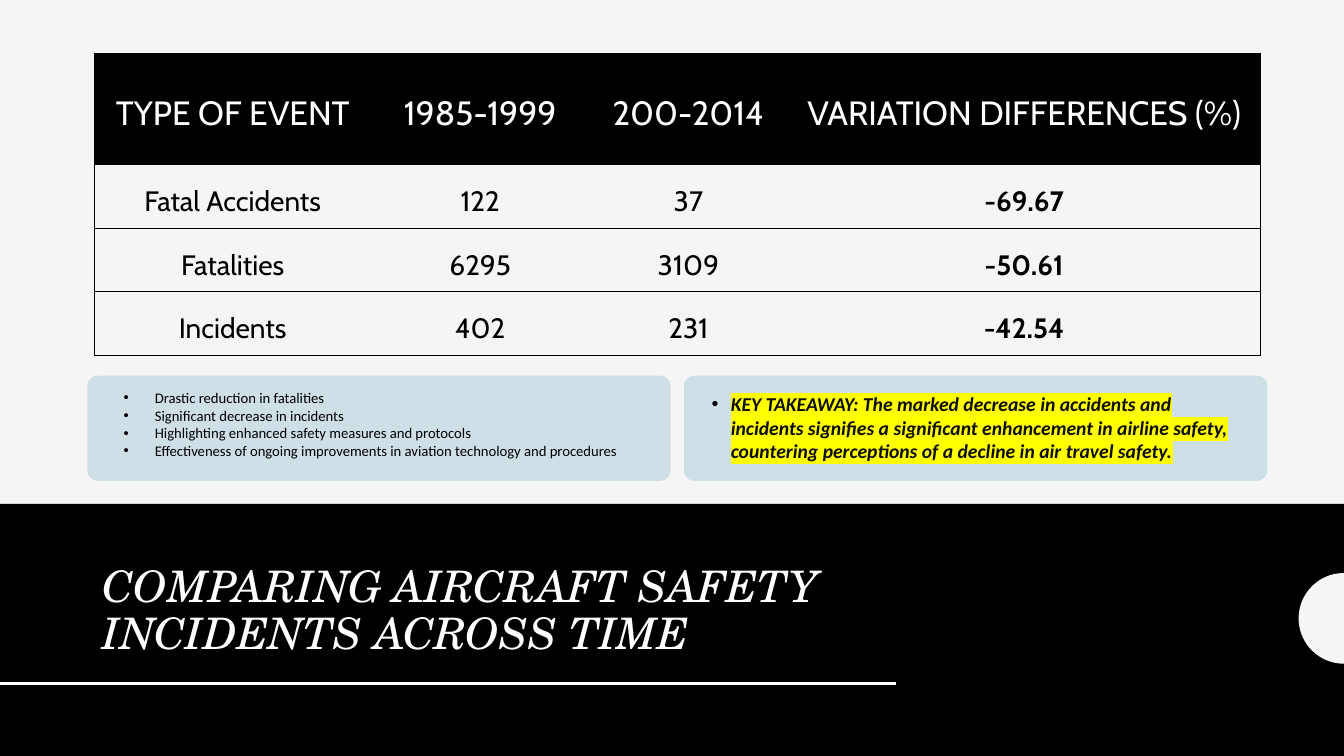
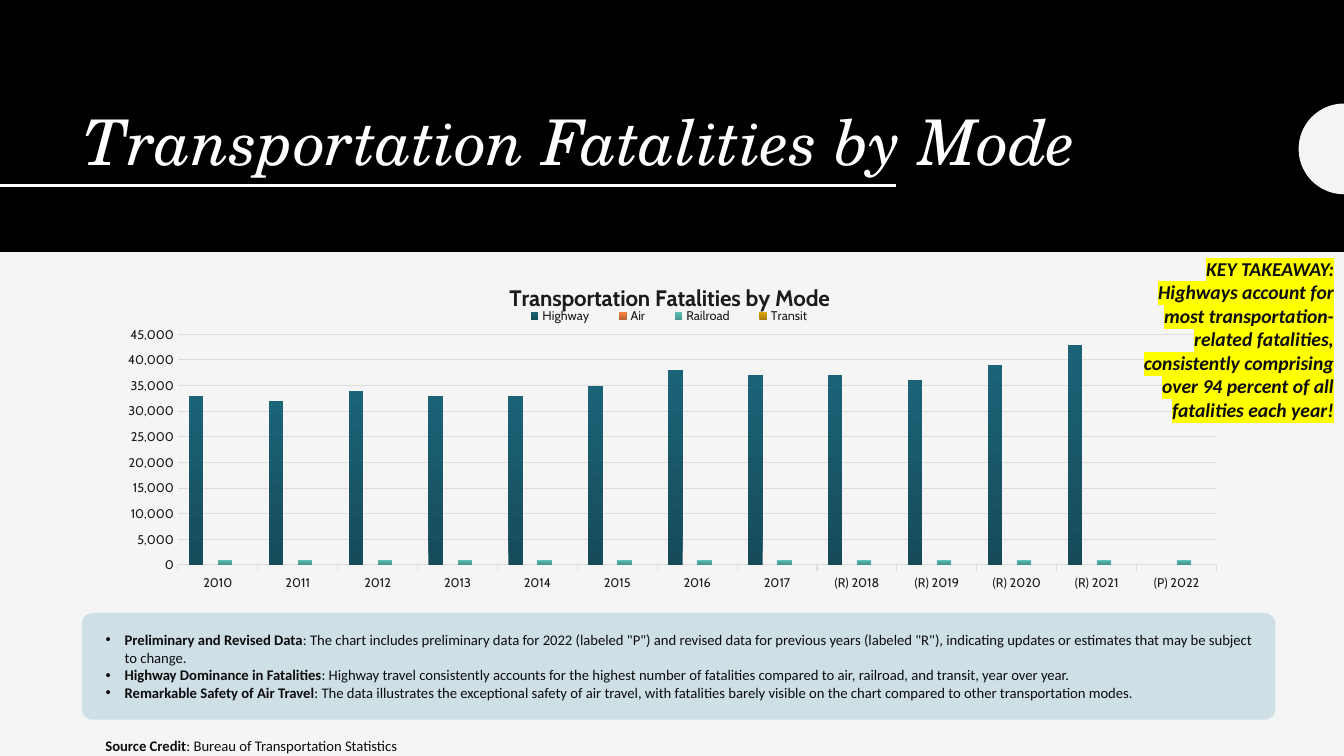
from math import cos, pi, sin

from lxml.etree import SubElement
from pptx import Presentation
from pptx.chart.data import CategoryChartData
from pptx.dml.color import RGBColor
from pptx.enum.chart import XL_CHART_TYPE, XL_LEGEND_POSITION, XL_TICK_MARK
from pptx.enum.shapes import MSO_CONNECTOR, MSO_SHAPE
from pptx.enum.text import MSO_ANCHOR, MSO_AUTO_SIZE, PP_ALIGN
from pptx.oxml.ns import qn
from pptx.oxml.xmlchemy import OxmlElement
from pptx.util import Inches, Pt

WIDTH, HEIGHT = Inches(13.33), Inches(7.5)
BLACK, WHITE, PAPER, CARD = "000000", "FFFFFF", "F5F5F5", "CFDFE6"
INK, CHART_INK, GRID, YELLOW = "0D0D0D", "1D1A1D", "DFDBDF", "FFFF00"
TITLE_FONT, BODY_FONT, DATA_FONT = "TeX Gyre Schola", "Calibri", "Cabin"


# Shared helpers: places are percentages of the slide's width and height
def across(share):
    return round(WIDTH * share / 100)


def down(share):
    return round(HEIGHT * share / 100)


def box(left, top, width, height):
    return across(left), down(top), across(width), down(height)


def rgb(color):
    return RGBColor.from_string(color)


def style_font(font, name, size, color, bold=False, italic=False):
    font.name, font.size = name, Pt(size)
    font.bold, font.italic = bold, italic
    font.color.rgb = rgb(color)


def paint(shape, color):
    shape.shadow.inherit = False
    shape.fill.solid()
    shape.fill.fore_color.rgb = rgb(color)
    shape.line.fill.background()


def highlight(run):
    mark = OxmlElement("a:highlight")
    SubElement(mark, qn("a:srgbClr")).set("val", YELLOW)
    run.font._element.find(qn("a:solidFill")).addnext(mark)


# Slide frame: band, half disc, rule and title
def add_band(slide, top):
    band = slide.shapes.add_shape(MSO_SHAPE.RECTANGLE, *box(0, top, 100, 100 / 3))
    paint(band, BLACK)


def add_half_disc(slide, middle, radius=down(6), steps=36):
    points = [(round(WIDTH - radius * sin(pi * step / steps)),
               round(down(middle) - radius * cos(pi * step / steps)))
              for step in range(steps + 1)]
    builder = slide.shapes.build_freeform(*points[0])
    builder.add_line_segments(points[1:], close=True)
    paint(builder.convert_to_shape(), PAPER)


def add_rule(slide, height):
    rule = slide.shapes.add_connector(
        MSO_CONNECTOR.STRAIGHT, 0, down(height), across(200 / 3), down(height))
    rule.line.color.rgb = rgb(WHITE)
    rule.line.width = Pt(2)
    SubElement(rule.element.spPr, qn("a:effectLst"))


def set_title(slide, text, place, size, alignment):
    title = slide.shapes.title
    title.left, title.top, title.width, title.height = place
    frame = title.text_frame
    frame.text = text
    frame.word_wrap, frame.auto_size = True, MSO_AUTO_SIZE.NONE
    frame.vertical_anchor = MSO_ANCHOR.BOTTOM
    paragraph = frame.paragraphs[0]
    paragraph.alignment, paragraph.line_spacing = alignment, 0.9
    style_font(paragraph.runs[0].font, TITLE_FONT, size, WHITE, italic=True)


def raise_placeholders(slide):
    for placeholder in list(slide.placeholders):
        slide.shapes.element.append(placeholder.element)


# Cards and text
def add_card(slide, place):
    card = slide.shapes.add_shape(MSO_SHAPE.ROUNDED_RECTANGLE, *place)
    card.adjustments[0] = 0.1
    paint(card, CARD)


def set_bullet(paragraph, indent):
    properties = paragraph._p.get_or_add_pPr()
    properties.set("marL", str(Inches(indent)))
    properties.set("indent", str(-Inches(indent)))
    if indent:
        SubElement(properties, qn("a:buChar")).set("char", "•")
    else:
        SubElement(properties, qn("a:buNone"))


def fill_text(shape, lines, size, indent=0, color=INK, marked=False,
              alignment=PP_ALIGN.LEFT):
    """Each line is a pair: bold lead, plain rest."""
    frame = shape.text_frame
    frame.word_wrap, frame.auto_size = True, MSO_AUTO_SIZE.NONE
    frame.vertical_anchor = MSO_ANCHOR.TOP
    for index, line in enumerate(lines):
        paragraph = frame.add_paragraph() if index else frame.paragraphs[0]
        set_bullet(paragraph, indent)
        paragraph.alignment, paragraph.space_before = alignment, Pt(0)
        for text, bold in zip(line, (True, False)):
            if text:
                run = paragraph.add_run()
                run.text = text
                style_font(run.font, BODY_FONT, size, color, bold, marked)
                if marked:
                    highlight(run)
    return frame


def fill_list(placeholder, place, lines, size, indent, **options):
    placeholder.left, placeholder.top, placeholder.width, placeholder.height = place
    return fill_text(placeholder, lines, size, indent, **options)


# Table
def set_borders(cell, visible):
    properties = cell._tc.get_or_add_tcPr()
    for index, side in enumerate("LRTB"):
        line = OxmlElement(f"a:ln{side}")
        line.set("w", str(Pt(0.5)))
        if side in visible:
            fill = SubElement(line, qn("a:solidFill"))
            SubElement(fill, qn("a:srgbClr")).set("val", BLACK)
        else:
            SubElement(line, qn("a:noFill"))
        properties.insert(index, line)


def fill_cell(cell, text, header, bold, visible):
    cell.text = text
    cell.margin_left = cell.margin_right = cell.margin_top = Inches(0.17)
    cell.margin_bottom = Inches(0.09)
    cell.vertical_anchor = MSO_ANCHOR.MIDDLE if header else MSO_ANCHOR.BOTTOM
    if header:
        cell.fill.solid()
        cell.fill.fore_color.rgb = rgb(BLACK)
    else:
        cell.fill.background()
    set_borders(cell, visible)
    paragraph = cell.text_frame.paragraphs[0]
    paragraph.alignment = PP_ALIGN.CENTER
    style_font(paragraph.runs[0].font, DATA_FONT, 24 if header else 20,
               WHITE if header else BLACK, bold)


def add_event_table(slide, place, rows, column_widths, row_heights):
    table = slide.shapes.add_table(len(rows), len(column_widths), *place).table
    table.first_row = table.horz_banding = False
    for column, width in zip(table.columns, column_widths):
        column.width = Inches(width)
    for row, height in zip(table.rows, row_heights):
        row.height = Inches(height)
    last = len(column_widths) - 1
    for row_index, row in enumerate(rows):
        for column_index, text in enumerate(row):
            sides = "TB" + "L" * (column_index == 0) + "R" * (column_index == last)
            header = row_index == 0
            fill_cell(table.cell(row_index, column_index), text, header,
                      column_index == last and not header, sides)


# Chart
def place_part(part, after, **shares):
    """Fix a chart part's place as shares of the chart's size."""
    for old in part.findall(qn("c:layout")):
        part.remove(old)
    layout = OxmlElement("c:layout")
    manual = SubElement(layout, qn("c:manualLayout"))
    if part.tag == qn("c:plotArea"):
        SubElement(manual, qn("c:layoutTarget")).set("val", "inner")
    for name in ("xMode", "yMode"):
        SubElement(manual, qn(f"c:{name}")).set("val", "edge")
    for name, share in shares.items():
        SubElement(manual, qn(f"c:{name}")).set("val", str(share))
    if after:
        part.find(qn(after)).addnext(layout)
    else:
        part.insert(0, layout)


def add_fatality_chart(slide, place, title, categories, series):
    data = CategoryChartData(number_format="#,##0")
    data.categories = categories
    for name, values, _ in series:
        data.add_series(name, values)
    chart = slide.shapes.add_chart(XL_CHART_TYPE.COLUMN_CLUSTERED, *place, data).chart
    style_font(chart.font, DATA_FONT, 10, BLACK)

    chart.has_title = True
    chart.chart_title.text_frame.text = title
    title_run = chart.chart_title.text_frame.paragraphs[0].runs[0]
    style_font(title_run.font, DATA_FONT, 16, CHART_INK, bold=True)
    chart.has_legend = True
    chart.legend.position = XL_LEGEND_POSITION.TOP
    chart.legend.include_in_layout = True
    style_font(chart.legend.font, DATA_FONT, 9, CHART_INK)

    for axis in (chart.category_axis, chart.value_axis):
        style_font(axis.tick_labels.font, DATA_FONT, 9, CHART_INK)
    category_line = chart.category_axis.format.line
    chart.category_axis.major_tick_mark = XL_TICK_MARK.OUTSIDE
    value_axis = chart.value_axis
    value_axis.minimum_scale, value_axis.maximum_scale = 0, 45000
    value_axis.major_unit = 5000
    value_axis.major_tick_mark = XL_TICK_MARK.NONE
    value_axis.tick_labels.number_format = "#,##0"
    value_axis.tick_labels.number_format_is_linked = False
    value_axis.format.line.fill.background()
    for line in (category_line, value_axis.major_gridlines.format.line):
        line.color.rgb, line.width = rgb(GRID), Pt(0.75)

    plot = chart.plots[0]
    plot.gap_width, plot.overlap, plot.vary_by_categories = 150, 0, False
    for bars, (_, _, colors) in zip(plot.series, series):
        fill = bars.format.fill
        fill.gradient()
        fill.gradient_angle = 90
        for stop, color in zip(fill.gradient_stops, colors):
            stop.color.rgb = rgb(color)

    place_part(chart.chart_title._element, "c:tx", x=0.35, y=0.03)
    place_part(chart.legend._element, "c:legendPos", x=0.35, y=0.11, w=0.29, h=0.07)
    place_part(chart._chartSpace.chart.plotArea, None, x=0.06, y=0.2, w=0.92, h=0.7)


# Slides
def build_comparison(presentation):
    slide = presentation.slides.add_slide(presentation.slide_layouts[3])
    add_band(slide, 200 / 3)
    add_half_disc(slide, 81.8)
    add_rule(slide, 90.4)
    set_title(slide, "COMPARING AIRCRAFT SAFETY INCIDENTS ACROSS TIME",
              box(6.9, 69.3, 59.8, 18.5), 31, PP_ALIGN.LEFT)
    rows = [("TYPE OF EVENT", "1985-1999", "200-2014", "VARIATION DIFFERENCES (%)"),
            ("Fatal Accidents", "122", "37", "-69.67"),
            ("Fatalities", "6295", "3109", "-50.61"),
            ("Incidents", "402", "231", "-42.54")]
    add_event_table(slide, box(7, 7.1, 86.9, 40), rows,
                    (2.75, 2.16, 1.97, 4.69), (1.1,) + (0.63,) * 3)
    card_width, gap = 43.4, 1
    for column in range(2):
        add_card(slide, box(6.5 + column * (card_width + gap), 49.7, card_width, 13.9))
    findings = ("Drastic reduction in fatalities",
                "Significant decrease in incidents",
                "Highlighting enhanced safety measures and protocols",
                "Effectiveness of ongoing improvements in aviation technology"
                " and procedures")
    fill_list(slide.placeholders[1], box(8.45, 50.8, 41.4, 12),
              [("", finding) for finding in findings], 10.5, 0.31, color=BLACK)
    takeaway = ("KEY TAKEAWAY: The marked decrease in accidents and incidents signifies "
                "a significant enhancement in airline safety, countering perceptions of "
                "a decline in air travel safety.")
    fill_list(slide.placeholders[2], box(52.2, 51.2, 41.5, 10.8),
              [(takeaway,)], 14, 0.19, marked=True)
    raise_placeholders(slide)


def build_fatalities(presentation):
    slide = presentation.slides.add_slide(presentation.slide_layouts[1])
    add_band(slide, 0)
    add_half_disc(slide, 19.7)
    add_rule(slide, 24.5)
    heading = "Transportation Fatalities by Mode"
    set_title(slide, heading, box(2, 6.3, 78.8, 18), 45, PP_ALIGN.RIGHT)
    categories = [str(year) for year in range(2010, 2018)]
    categories += [f"(R) {year}" for year in range(2018, 2022)] + ["(P) 2022"]
    highway = [thousands * 1000 for thousands in
               (33, 32, 34, 33, 33, 35, 38, 37, 37, 36, 39, 43, 0)]
    years = len(categories)
    series = [("Highway", highway, ("164B5A", "1B6377")),
              ("Air", [0] * years, ("B86430", "F4823B")),
              ("Railroad", [1000] * years, ("47938B", "5AC1B6")),
              ("Transit", [0] * years, ("A67D0B", "DCA50B"))]
    add_fatality_chart(slide, box(8.2, 35.5, 84, 43.6), heading, categories, series)
    add_card(slide, box(6.1, 81.1, 88.8, 14.1))
    notes = [
        ("Preliminary and Revised Data",
         ": The chart includes preliminary data for 2022 (labeled \"P\") and revised data "
         "for previous years (labeled \"R\"), indicating updates or estimates that may be "
         "subject to change."),
        ("Highway Dominance in Fatalities",
         ": Highway travel consistently accounts for the highest number of fatalities "
         "compared to air, railroad, and transit, year over year."),
        ("Remarkable Safety of Air Travel",
         ": The data illustrates the exceptional safety of air travel, with fatalities "
         "barely visible on the chart compared to other transportation modes.")]
    fill_list(slide.placeholders[1], box(7.1, 82.8, 87.8, 13), notes, 10.5, 0.19)
    source = slide.shapes.add_textbox(*box(7.1, 96.8, 40, 3.2))
    frame = fill_text(source, [("Source Credit", ": Bureau of Transportation Statistics")],
                      10.5)
    frame.margin_top = frame.margin_bottom = Inches(0.05)
    takeaway = slide.shapes.add_textbox(*box(82.4, 33.3, 17.6, 23.3))
    fill_text(takeaway, [("KEY TAKEAWAY:",),
                         ("Highways account for most transportation-related fatalities, "
                          "consistently comprising over 94 percent of all fatalities "
                          "each year!",)],
              14, marked=True, alignment=PP_ALIGN.RIGHT)
    raise_placeholders(slide)


def main():
    presentation = Presentation()
    presentation.slide_width, presentation.slide_height = WIDTH, HEIGHT
    background = presentation.slide_master.background.fill
    background.solid()
    background.fore_color.rgb = rgb(PAPER)
    build_comparison(presentation)
    build_fatalities(presentation)
    presentation.save("out.pptx")


if __name__ == "__main__":
    main()
